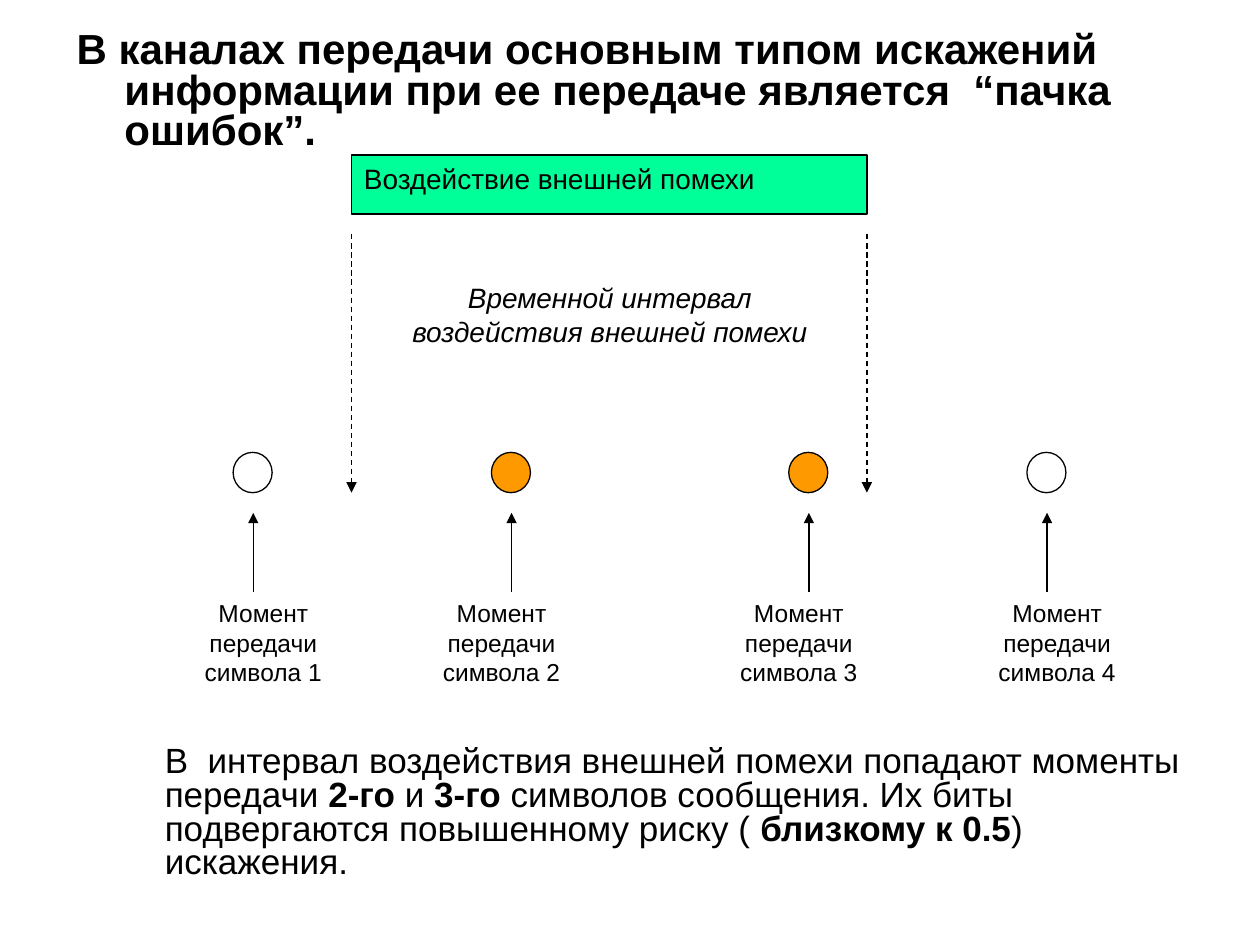
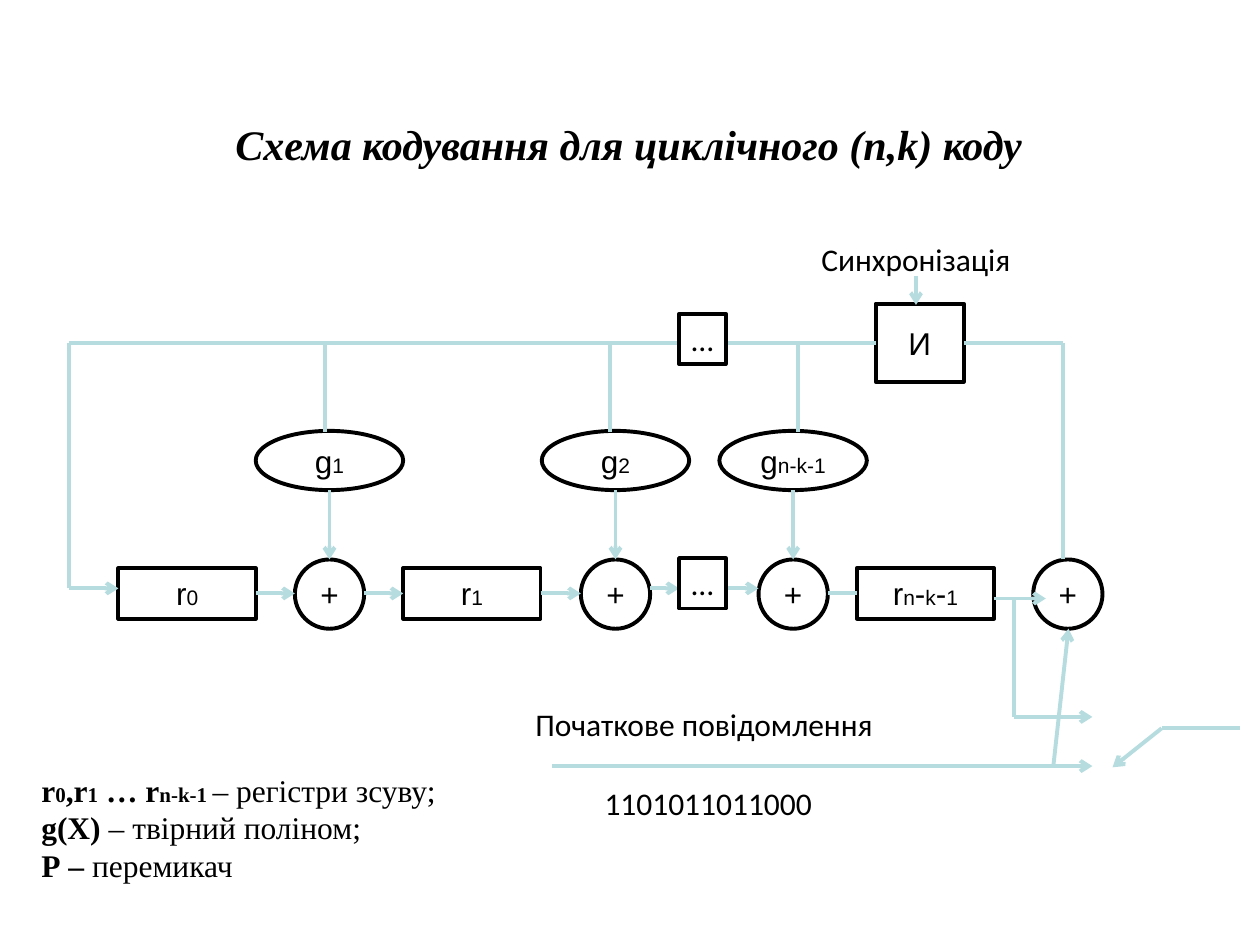
from dataclasses import dataclass
from lxml.etree import SubElement
from pptx import Presentation
from pptx.dml.color import RGBColor
from pptx.enum.dml import MSO_LINE
from pptx.enum.shapes import MSO_CONNECTOR, MSO_SHAPE
from pptx.enum.text import MSO_ANCHOR, PP_ALIGN
from pptx.oxml.ns import qn
from pptx.util import Inches, Pt

COLORS = {
    "ink": "000000",
    "paper": "FFFFFF",
    "noise": "00FF99",
    "hit": "FF9900",
    "wire": "B6DCDF",
}
TOP, LEFT, BOTTOM, RIGHT = range(4)


def color(name):
    return RGBColor.from_string(COLORS[name])


def write_text(frame, paragraphs, size=18, font="Arial", bold=False, italic=False,
               align=PP_ALIGN.LEFT, anchor=MSO_ANCHOR.TOP, spacing=None,
               hanging=None, wrap=True):
    if isinstance(paragraphs, str):
        paragraphs = [[(paragraphs, {})]]
    frame.word_wrap = wrap
    frame.vertical_anchor = anchor
    for index, runs in enumerate(paragraphs):
        paragraph = frame.add_paragraph() if index else frame.paragraphs[0]
        paragraph.alignment = align
        if spacing:
            paragraph.line_spacing = spacing
        if hanging:
            margin, indent = hanging
            properties = paragraph._p.get_or_add_pPr()
            properties.set("marL", str(Inches(margin)))
            properties.set("indent", str(Inches(indent)))
        for words, changes in runs:
            run = paragraph.add_run()
            run.text = words
            run.font.name = font
            run.font.size = Pt(changes.get("size", size))
            run.font.bold = changes.get("bold", bold)
            run.font.italic = italic
            run.font.color.rgb = color("ink")


@dataclass
class Region:
    slide: object
    left: float
    top: float

    def place(self, left, top):
        return Inches(self.left + left), Inches(self.top + top)

    def text(self, left, top, width, height, paragraphs, **text_format):
        box = self.slide.shapes.add_textbox(
            *self.place(left, top), Inches(width), Inches(height))
        write_text(box.text_frame, paragraphs, **text_format)

    def shape(self, kind, left, top, width, height, paragraphs=None,
              fill="paper", line="ink", weight=2.25, **text_format):
        shape = self.slide.shapes.add_shape(
            kind, *self.place(left, top), Inches(width), Inches(height))
        shape.shadow.inherit = False
        if fill:
            shape.fill.solid()
            shape.fill.fore_color.rgb = color(fill)
        else:
            shape.fill.background()
        if line:
            shape.line.color.rgb = color(line)
            shape.line.width = Pt(weight)
        else:
            shape.line.fill.background()
        if paragraphs:
            write_text(shape.text_frame, paragraphs, **text_format)
        return shape

    def line(self, start, end, head=None, stroke="wire", weight=2.25,
             dash=None, begin=None, finish=None):
        connector = self.slide.shapes.add_connector(
            MSO_CONNECTOR.STRAIGHT, *self.place(*start), *self.place(*end))
        connector.line.color.rgb = color(stroke)
        connector.line.width = Pt(weight)
        if dash:
            connector.line.dash_style = dash
        if head:
            SubElement(connector.line._get_or_add_ln(), qn("a:tailEnd"), type=head)
        SubElement(connector._element.spPr, qn("a:effectLst"))
        if begin:
            connector.begin_connect(*begin)
        if finish:
            connector.end_connect(*finish)


def draw_interference(slide, left, top):
    region = Region(slide, left, top)
    start, width = 1.41, 4.09
    thin = {"stroke": "ink", "weight": 0.75, "head": "triangle"}
    region.shape(MSO_SHAPE.RECTANGLE, start, 0, width, 0.47,
                 "Воздействие внешней помехи", fill="noise", weight=0.75, size=16)
    for edge in (start, start + width):
        region.line((edge, 0.63), (edge, 2.68), dash=MSO_LINE.DASH, **thin)
    region.shape(MSO_SHAPE.RECTANGLE, 1.57, 0.95, 3.78, 0.79,
                 "Временной интервал воздействия внешней помехи",
                 line=None, size=16, italic=True, align=PP_ALIGN.CENTER)

    symbols = [(0.63, 0, "paper"), (2.68, 1.89, "hit"),
               (5.04, 4.25, "hit"), (6.93, 6.3, "paper")]
    for number, (center, label_left, fill) in enumerate(symbols, 1):
        region.shape(MSO_SHAPE.OVAL, center - 0.16, 2.36, 0.31, 0.32,
                     fill=fill, weight=0.75)
        region.shape(MSO_SHAPE.RECTANGLE, label_left, 3.47, 1.42, 0.94,
                     f"Момент передачи символа {number}",
                     line=None, size=14, align=PP_ALIGN.CENTER)
        region.line((center, 3.47), (center, 2.84), **thin)


def build_burst_slide(slide):
    page = Region(slide, 0, 0)
    page.text(0.51, 0.21, 8.74, 1.1,
              "В каналах передачи основным типом искажений информации "
              "при ее передаче является  “пачка ошибок”.",
              size=24, bold=True, spacing=0.8, hanging=(0.38, -0.38))
    draw_interference(slide, 1.38, 1.23)
    strong = {"bold": True}
    page.text(0.83, 5.88, 8.74, 1.1, [[
        ("В  интервал воздействия внешней помехи попадают моменты передачи ", {}),
        ("2-го ", strong), ("и ", {}), ("3-го", strong),
        (" символов сообщения. Их биты подвергаются повышенному риску ( ", {}),
        ("близкому к 0.5", strong), (") искажения.", {}),
    ]], size=20, spacing=0.8, hanging=(0.38, 0))


def draw_encoder(slide, left, top):
    region = Region(slide, left, top)
    small = {"size": 12}
    centered = {"align": PP_ALIGN.CENTER, "anchor": MSO_ANCHOR.MIDDLE}
    adder_size, adder_top, row = 0.55, 2.58, 2.85
    bus, feedback, tap, message = 0.86, 2.81, 2.89, 4.22
    adders = [1.79, 4.06, 5.47, 7.65]

    def register(left, index):
        return region.shape(MSO_SHAPE.RECTANGLE, left, 2.65, 1.09, 0.4,
                            [[("r", {}), *index]], **centered)

    first = register(0.39, [("0", small)])
    second = register(2.65, [("1", small)])
    last = register(6.25, [("n", small), ("-", {}), ("k", small),
                           ("-", {}), ("1", small)])
    for adder in adders:
        region.shape(MSO_SHAPE.OVAL, adder, adder_top, adder_size, adder_size,
                     "+", **centered)
    gate = region.shape(MSO_SHAPE.RECTANGLE, 6.4, 0.55, 0.7, 0.62, "И", **centered)

    for adder, drop, index in zip(adders, (2.03, 4.29, 5.78), ("1", "2", "n-k-1")):
        region.shape(MSO_SHAPE.OVAL, adder - 0.31, 1.56, 1.17, 0.47,
                     [[("g", {}), (index, small)]], **centered)
        center = adder + adder_size / 2
        region.line((center, 2.03), (center, adder_top), "arrow")
        region.line((drop, bus), (drop, 1.57))

    region.line((1.48, row), (adders[0], row), "arrow", begin=(first, RIGHT))
    region.line((adders[0] + adder_size, row), (2.65, row), "arrow",
                finish=(second, LEFT))
    region.line((3.74, row), (adders[1], row), "arrow", begin=(second, RIGHT))
    region.line((adders[2] + adder_size, row), (6.25, row), finish=(last, LEFT))
    region.line((5.23, bus), (6.4, bus), finish=(gate, LEFT))
    region.line((7.89, bus), (7.1, bus), finish=(gate, RIGHT))

    wires = [
        ((7.89, adder_top), (7.89, bus), None),
        ((0, bus), (4.84, bus), None),
        ((0, feedback), (0, bus), None),
        ((0, feedback), (0.39, feedback), "arrow"),
        ((4.61, feedback), (4.84, feedback), "arrow"),
        ((5.23, feedback), (5.47, feedback), "arrow"),
        ((7.34, tap), (7.75, tap), "arrow"),
        ((7.5, tap), (7.5, 3.83), None),
        ((7.5, 3.83), (8.12, 3.83), "arrow"),
        ((3.83, message), (8.12, message), "arrow"),
        ((7.81, message), (7.93, 3.13), "arrow"),
        ((8.67, 3.92), (9.29, 3.92), None),
        ((8.67, 3.92), (8.28, 4.23), "arrow"),
        ((6.72, 0.33), (6.72, 0.56), "arrow"),
    ]
    for start, end, head in wires:
        region.line(start, end, head)

    plain = {"font": "Calibri"}
    for dots_top in (0.63, 2.57):
        region.shape(MSO_SHAPE.RECTANGLE, 4.84, dots_top, 0.37, 0.4, "…",
                     fill=None, wrap=False, **plain)
    region.text(5.87, 0, 2, 0.4, "Синхронізація", **plain)
    region.text(3.6, 3.69, 3.2, 0.4, "Початкове повідомлення", **plain)
    region.text(4.15, 4.31, 2.2, 0.4, "1101011011000", **plain)


def draw_legend(slide, left, top):
    strong, index = {"bold": True}, {"bold": True, "size": 12}
    Region(slide, left, top).shape(MSO_SHAPE.RECTANGLE, 0, 0, 3.67, 1.25, [
        [("r", strong), ("0", index), (",r", strong), ("1", index),
         (" … r", strong), ("n-k-1 ", index), ("– регістри зсуву;", {})],
        [("g(X) ", strong), ("– твірний поліном;", {})],
        [("Р – ", strong), ("перемикач", {})],
    ], line="paper", font="Times New Roman", anchor=MSO_ANCHOR.MIDDLE)


def build_encoder_slide(slide):
    Region(slide, 0, 0).text(
        0.74, 0.59, 8.5, 1.1, "Схема кодування для циклічного (n,k) коду",
        size=24, font="Times New Roman", bold=True, italic=True,
        align=PP_ALIGN.CENTER, anchor=MSO_ANCHOR.MIDDLE)
    draw_encoder(slide, 0.55, 1.86)
    draw_legend(slide, 0.23, 5.94)


def main():
    presentation = Presentation()
    presentation.slide_width = Inches(10)
    presentation.slide_height = Inches(7.5)
    for build in (build_burst_slide, build_encoder_slide):
        build(presentation.slides.add_slide(presentation.slide_layouts[6]))
    presentation.save("out.pptx")


if __name__ == "__main__":
    main()
